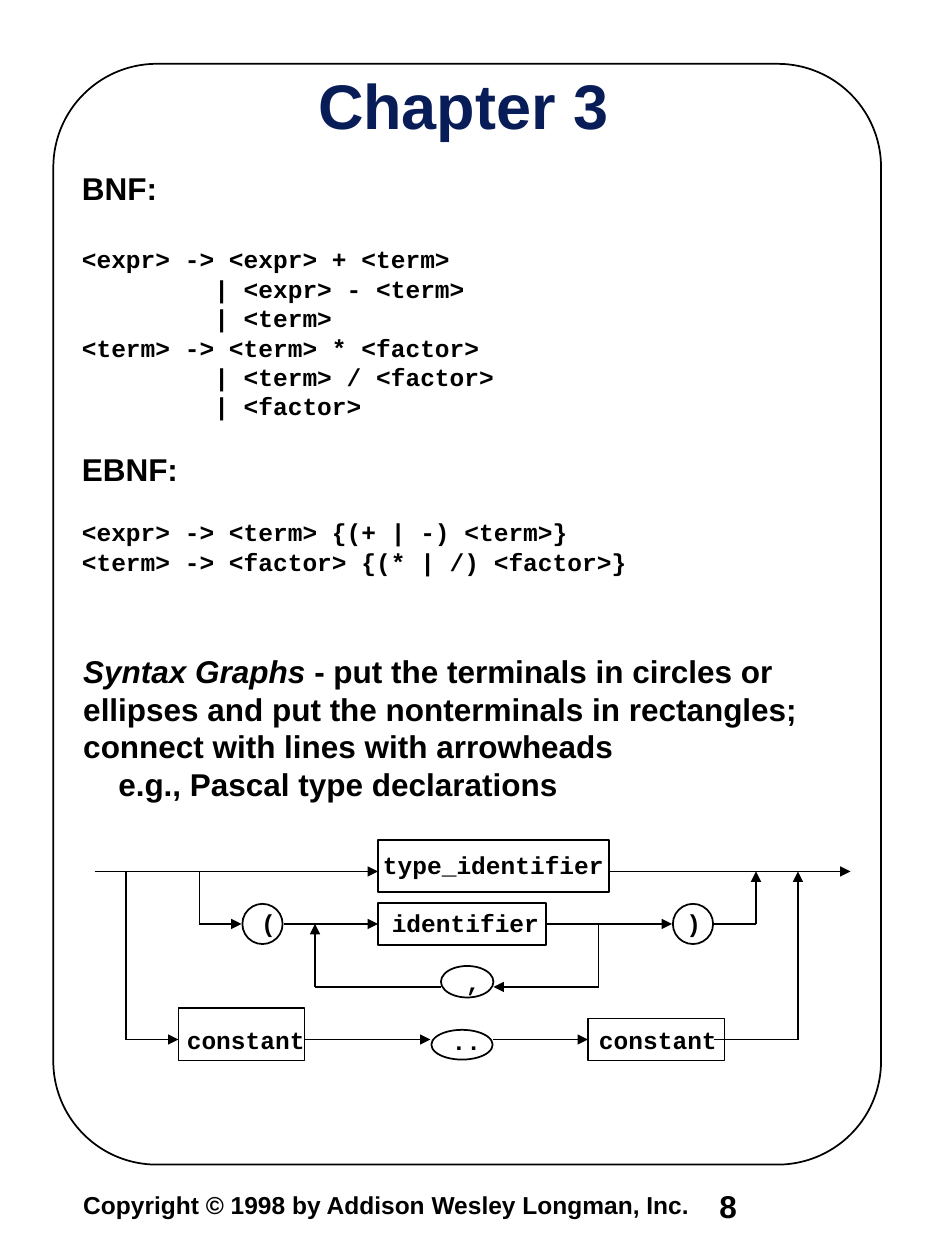
from dataclasses import dataclass

from lxml.etree import SubElement
from pptx import Presentation
from pptx.dml.color import RGBColor
from pptx.enum.shapes import MSO_CONNECTOR, MSO_SHAPE
from pptx.enum.text import MSO_ANCHOR, PP_ALIGN
from pptx.oxml.ns import qn
from pptx.util import Pt


@dataclass(frozen=True)
class Theme:
    ink: RGBColor = RGBColor(0x00, 0x00, 0x00)
    heading: RGBColor = RGBColor(0x08, 0x1D, 0x58)
    sans: str = "Arial"
    mono: str = "Courier New"
    title_size: int = 36
    body_size: int = 18
    code_size: int = 14
    leading: float = 1.2
    stroke: int = 1


theme = Theme()


def add_text(frame, text, *, size=theme.body_size, font=theme.sans, color=theme.ink,
             align=PP_ALIGN.LEFT, before=0, indent=0, italic_lead=""):
    paragraph = frame.paragraphs[0]
    if paragraph.runs:
        paragraph = frame.add_paragraph()
    paragraph.alignment = align
    paragraph.line_spacing = Pt(size * theme.leading)
    paragraph.space_before = Pt(before)
    if indent:
        paragraph._p.get_or_add_pPr().set("marL", str(Pt(indent)))
    for content, italic in ((italic_lead, True), (text, False)):
        if content:
            run = paragraph.add_run()
            run.text = content
            run.font.name = font
            run.font.size = Pt(size)
            run.font.bold = True
            run.font.italic = italic
            run.font.color.rgb = color


presentation = Presentation()
presentation.slide_width = Pt(540)
presentation.slide_height = Pt(720)
slide = presentation.slides.add_slide(presentation.slide_layouts[6])
shapes = slide.shapes

border = shapes.add_shape(MSO_SHAPE.ROUNDED_RECTANGLE, Pt(30.5), Pt(36.5), Pt(473), Pt(629))
border.adjustments[0] = 0.125
border.shadow.inherit = False
border.fill.background()
border.line.color.rgb = theme.ink
border.line.width = Pt(theme.stroke)

code = {"size": theme.code_size, "font": theme.mono}
body_gap = theme.body_size * theme.leading
code_gap = theme.code_size * theme.leading

passages = [
    ((44, 678.5, 366, 20), [
        ("Copyright © 1998 by Addison Wesley Longman, Inc.", {"size": theme.code_size}),
    ]),
    ((407.5, 677, 94, 24.5), [("8", {})]),
    ((178, 36.5, 173.5, 89.5), [
        ("Chapter 3", {"size": theme.title_size, "color": theme.heading,
                       "align": PP_ALIGN.CENTER}),
    ]),
    ((43.2, 95, 319, 252.5), [
        ("BNF:", {}),
        ("<expr> -> <expr> + <term>", {**code, "before": body_gap}),
        ("         | <expr> - <term>", code),
        ("         | <term>", code),
        ("<term> -> <term> * <factor>", code),
        ("         | <term> / <factor>", code),
        ("         | <factor>", code),
        ("EBNF:", {"before": code_gap}),
        ("<expr> -> <term> {(+ | -) <term>}", {**code, "before": code_gap}),
        ("<term> -> <factor> {(* | /) <factor>}", code),
    ]),
    ((44, 371, 420.5, 90), [
        ("- put the terminals in circles or ellipses and put the nonterminals "
         "in rectangles; connect with lines with arrowheads",
         {"italic_lead": "Syntax Graphs "}),
        ("e.g., Pascal type declarations", {"indent": 20}),
    ]),
]
for (left, top, width, height), paragraphs in passages:
    frame = shapes.add_textbox(Pt(left), Pt(top), Pt(width), Pt(height)).text_frame
    frame.word_wrap = True
    frame.margin_left = frame.margin_right = Pt(3.6)
    frame.margin_top = frame.margin_bottom = Pt(1.44)
    for text, style in paragraphs:
        add_text(frame, text, **style)

rectangle, ellipse = MSO_SHAPE.RECTANGLE, MSO_SHAPE.OVAL
symbols = [
    ("type", rectangle, "type_identifier", (216, 480, 132, 30), (0, -1)),
    ("name", rectangle, "identifier", (216, 516, 96, 24), (2, -1)),
    ("low", rectangle, "constant", (102, 576, 72, 30), (2.5, 3)),
    ("high", rectangle, "constant", (336, 582, 78, 24), (1, 0)),
    ("open", ellipse, "(", (138.5, 516.5, 23, 23), (3.5, -1)),
    ("close", ellipse, ")", (384.5, 516.5, 23, 23), (0.5, -1)),
    ("comma", ellipse, ",", (252, 552, 30, 18), (3.5, 0)),
    ("range", ellipse, "..", (246.5, 588.5, 35, 17), (2.5, -2.5)),
]
graph = {}
for key, outline, label, (left, top, width, height), (shift_x, shift_y) in symbols:
    symbol = shapes.add_shape(outline, Pt(left), Pt(top), Pt(width), Pt(height))
    symbol.shadow.inherit = False
    symbol.fill.background()
    symbol.line.color.rgb = theme.ink
    symbol.line.width = Pt(theme.stroke)
    frame = symbol.text_frame
    frame.word_wrap = False
    frame.vertical_anchor = MSO_ANCHOR.MIDDLE
    frame.margin_left, frame.margin_right = Pt(2 * shift_x), Pt(0)
    frame.margin_top = Pt(max(0, 2 * shift_y))
    frame.margin_bottom = Pt(max(0, -2 * shift_y))
    add_text(frame, label, align=PP_ALIGN.CENTER, **code)
    graph[key] = symbol

main_row, list_row, loop_row, range_row = 498, 528, 564, 594
left_side, right_side = 1, 3
tracks = [
    (54, main_row, 216, main_row, True, None, None),
    (348, main_row, 486, main_row, True, None, None),
    (114, main_row, 114, list_row, False, None, None),
    (114, list_row, 138, list_row, True, None, None),
    (162, list_row, 216, list_row, True, None, ("name", left_side)),
    (312, list_row, 384, list_row, True, ("name", right_side), None),
    (408, list_row, 432, list_row, False, None, None),
    (432, list_row, 432, main_row, True, None, None),
    (342, list_row, 342, loop_row, False, None, None),
    (342, loop_row, 282, loop_row, True, None, None),
    (252, loop_row, 180, loop_row, False, None, None),
    (180, loop_row, 180, list_row, True, None, None),
    (72, main_row, 72, range_row, False, None, None),
    (72, range_row, 102, range_row, True, None, None),
    (174, range_row, 246, range_row, True, None, None),
    (282, range_row, 336, range_row, True, None, ("high", left_side)),
    (408, range_row, 456, range_row, False, None, None),
    (456, range_row, 456, main_row, True, None, None),
]
for start_x, start_y, end_x, end_y, arrow, source, target in tracks:
    track = shapes.add_connector(MSO_CONNECTOR.STRAIGHT, Pt(start_x), Pt(start_y),
                                 Pt(end_x), Pt(end_y))
    track.line.color.rgb = theme.ink
    track.line.width = Pt(theme.stroke)
    if arrow:
        SubElement(track.line._get_or_add_ln(), qn("a:tailEnd"), type="triangle")
    SubElement(track._element.spPr, qn("a:effectLst"))
    if source:
        track.begin_connect(graph[source[0]], source[1])
    if target:
        track.end_connect(graph[target[0]], target[1])

presentation.save("out.pptx")
